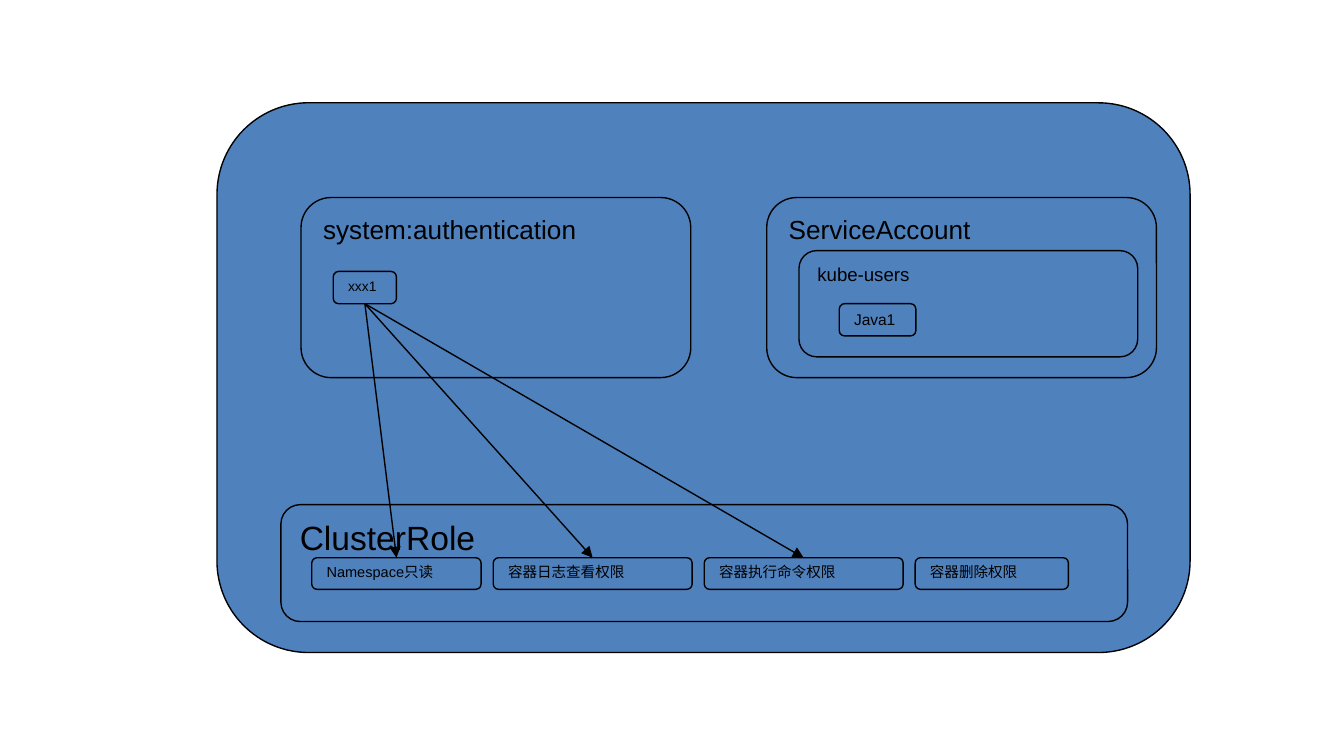
from dataclasses import dataclass

from lxml.etree import SubElement
from pptx import Presentation
from pptx.dml.color import RGBColor
from pptx.enum.shapes import MSO_CONNECTOR, MSO_SHAPE
from pptx.enum.text import MSO_ANCHOR, PP_ALIGN
from pptx.oxml.ns import qn
from pptx.util import Emu, Pt

EMU_PER_PX = 4572
TOP, BOTTOM = 0, 2


@dataclass(frozen=True)
class Theme:
    font: str = "Arial"
    fill: RGBColor = RGBColor(0x4F, 0x81, 0xBD)
    ink: RGBColor = RGBColor(0, 0, 0)
    line_width: float = 0.75
    role_title: float = 18
    group_title: float = 14
    namespace: float = 10
    account: float = 8.3
    role: float = 7.8
    user: float = 7.4


THEME = Theme()


def px(value):
    return Emu(value * EMU_PER_PX)


def add_box(slide, left, top, width, height, text="", size=0, spacing=1.0):
    box = slide.shapes.add_shape(
        MSO_SHAPE.ROUNDED_RECTANGLE, px(left), px(top), px(width), px(height)
    )
    box.shadow.inherit = False
    box.fill.solid()
    box.fill.fore_color.rgb = THEME.fill
    box.line.color.rgb = THEME.ink
    box.line.width = Pt(THEME.line_width)
    if text:
        frame = box.text_frame
        frame.word_wrap = True
        frame.vertical_anchor = MSO_ANCHOR.TOP
        paragraph = frame.paragraphs[0]
        paragraph.alignment = PP_ALIGN.LEFT
        paragraph.line_spacing = spacing
        run = paragraph.add_run()
        run.text = text
        run.font.name = THEME.font
        run.font.size = Pt(size)
        run.font.color.rgb = THEME.ink
    return box


def add_arrow(slide, source, target):
    arrow = slide.shapes.add_connector(MSO_CONNECTOR.STRAIGHT, 0, 0, 0, 0)
    arrow.begin_connect(source, BOTTOM)
    arrow.end_connect(target, TOP)
    arrow.line.color.rgb = THEME.ink
    arrow.line.width = Pt(THEME.line_width)
    line = arrow._element.spPr.find(qn("a:ln"))
    SubElement(line, qn("a:tailEnd"), type="triangle")
    SubElement(arrow._element.spPr, qn("a:effectLst"))


def add_roles(slide):
    add_box(slide, 418, 751, 1260, 174, "ClusterRole", THEME.role_title)
    roles = [
        ("Namespace只读", 252),
        ("容器日志查看权限", 296),
        ("容器执行命令权限", 296),
        ("容器删除权限", 228),
    ]
    gap = 18
    left = 464
    boxes = []
    for text, width in roles:
        boxes.append(add_box(slide, left, 830, width, 47, text, THEME.role, 0.8))
        left += width + gap
    return boxes


def add_user(slide):
    add_box(slide, 448, 294, 580, 268, "system:authentication", THEME.group_title)
    return add_box(slide, 496, 404, 94, 48, "xxx1", THEME.user, 0.9)


def add_service_account(slide):
    add_box(slide, 1141, 294, 580, 268, "ServiceAccount", THEME.group_title)
    add_box(slide, 1189, 373, 504, 158, "kube-users", THEME.namespace)
    add_box(slide, 1249, 452, 114, 48, "Java1", THEME.account, 0.9)


def main():
    presentation = Presentation()
    presentation.slide_width = px(2000)
    presentation.slide_height = px(1125)
    slide = presentation.slides.add_slide(presentation.slide_layouts[6])

    add_box(slide, 323, 153, 1448, 818)
    roles = add_roles(slide)
    user = add_user(slide)
    for role in roles[:3]:
        add_arrow(slide, user, role)
    add_service_account(slide)

    presentation.save("out.pptx")


if __name__ == "__main__":
    main()
